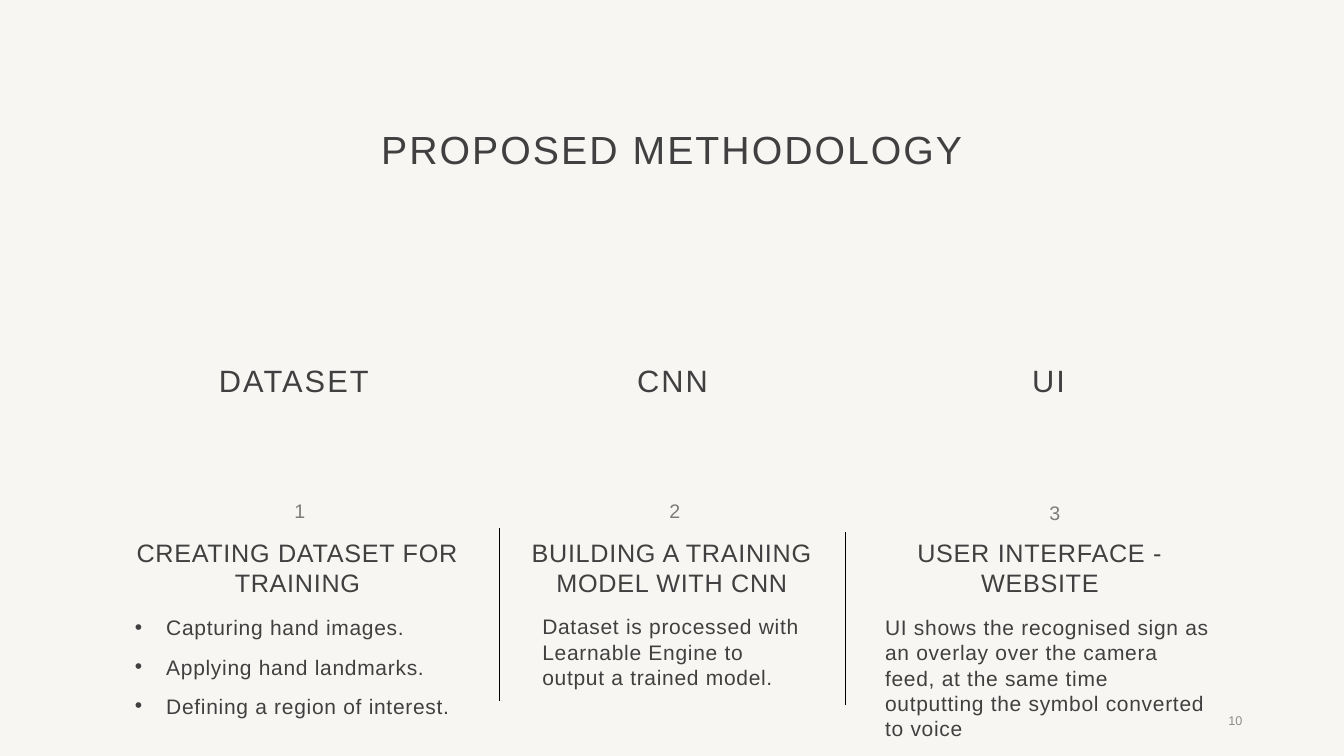
from pptx import Presentation
from pptx.dml.color import RGBColor
from pptx.enum.shapes import MSO_CONNECTOR as Link
from pptx.enum.text import MSO_ANCHOR as Anchor, PP_ALIGN as Align
from pptx.oxml.ns import qn
from pptx.util import Inches, Pt
from lxml.etree import SubElement

DARK = "404040"
STEPS = [
    {"name": ("DATASET", 2.06, 1.71), "mark": (2.82, 4.9),
     "head": ("CREATING DATASET FOR TRAINING", 1.24, 3.42),
     "body": (["Capturing hand images.", "Applying hand landmarks.",
               "Defining a region of interest."], 1.24, 6.05, 3.42)},
    {"name": ("CNN", 5.99, 1.36), "mark": (6.54, 4.9),
     "head": ("BUILDING A TRAINING MODEL WITH CNN", 4.95, 3.43),
     "body": (["Dataset is processed with Learnable Engine to output a "
               "trained model."], 5.28, 6.04, 2.85)},
    {"name": ("UI", 9.72, 1.36), "mark": (10.31, 4.92),
     "head": ("USER INTERFACE - WEBSITE", 8.75, 3.13),
     "body": (["UI shows the recognised sign as an overlay over the camera "
               "feed, at the same time outputting the symbol converted to "
               "voice"], 8.68, 6.05, 3.42)},
]


def color(code):
    return RGBColor.from_string(code)


def add_bullet(para):
    props = para._p.get_or_add_pPr()
    props.set("marL", str(Inches(0.31)))
    props.set("indent", str(-Inches(0.31)))
    SubElement(props, qn("a:buFont"), typeface="Arial")
    SubElement(props, qn("a:buChar"), char="•")


def add_text(slide, lines, left, top, width, height, size=15, tint=DARK,
             align=Align.LEFT, anchor=Anchor.TOP, track=0, lead=None,
             bullet=False, foot=0.05):
    box = slide.shapes.add_textbox(Inches(left), Inches(top),
                                   Inches(width), Inches(height))
    frame = box.text_frame
    frame.word_wrap = True
    frame.vertical_anchor = anchor
    frame.margin_bottom = Inches(foot)
    for i, line in enumerate(lines):
        para = frame.add_paragraph() if i else frame.paragraphs[0]
        para.alignment = align
        if lead:
            para.line_spacing = lead
        if i:
            para.space_before = Pt(10)
        if bullet:
            add_bullet(para)
        run = para.add_run()
        run.text = line
        run.font.name = "Arial"
        run.font.size = Pt(size)
        run.font.color.rgb = color(tint)
        if track:
            run._r.get_or_add_rPr().set("spc", str(int(track * 100)))


def add_rule(slide, left, top):
    rule = slide.shapes.add_connector(Link.STRAIGHT, Inches(left), Inches(top),
                                      Inches(left), Inches(top + 1.71))
    rule.line.color.rgb = color("000000")
    rule.line.width = Pt(0.5)
    SubElement(rule._element.spPr, qn("a:effectLst"))


def add_step(slide, num, step):
    name, left, width = step["name"]
    add_text(slide, [name], left, 3.35, width, 0.9, size=22, track=1.5,
             lead=0.9, align=Align.CENTER, anchor=Anchor.MIDDLE)
    add_text(slide, [str(num)], *step["mark"], 0.25, 0.34, size=14,
             tint="7C7C7C")
    head, left, width = step["head"]
    add_text(slide, [head], left, 5.28, width, 0.51, size=18, track=0.5,
             align=Align.CENTER)
    lines, left, top, width = step["body"]
    add_text(slide, lines, left, top, width, 0.51, track=0.5,
             bullet=len(lines) > 1)


def main():
    deck = Presentation()
    deck.slide_width = Inches(13.33)
    deck.slide_height = Inches(7.5)
    slide = deck.slides.add_slide(deck.slide_layouts[6])
    fill = slide.background.fill
    fill.solid()
    fill.fore_color.rgb = color("F7F6F3")
    add_text(slide, ["PROPOSED METHODOLOGY"], 2.06, 0.98, 9.21, 1.45, size=28,
             track=1.5, lead=0.9, align=Align.CENTER, anchor=Anchor.MIDDLE,
             foot=0.45)
    for num, step in enumerate(STEPS, 1):
        add_step(slide, num, step)
    add_rule(slide, 4.95, 5.24)
    add_rule(slide, 8.38, 5.28)
    add_text(slide, ["10"], 9.42, 6.95, 3, 0.4, size=9, tint="8C8C8C",
             align=Align.RIGHT, anchor=Anchor.MIDDLE)
    deck.save("out.pptx")


if __name__ == "__main__":
    main()
